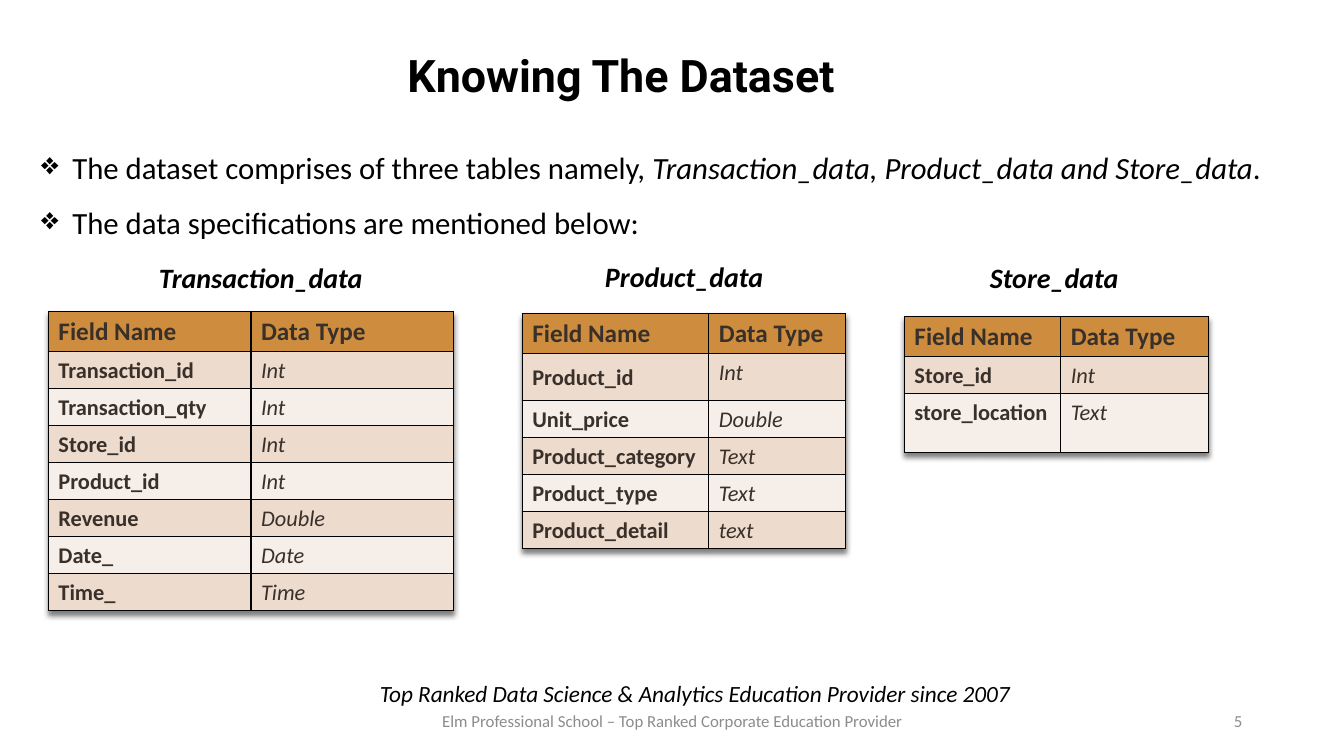
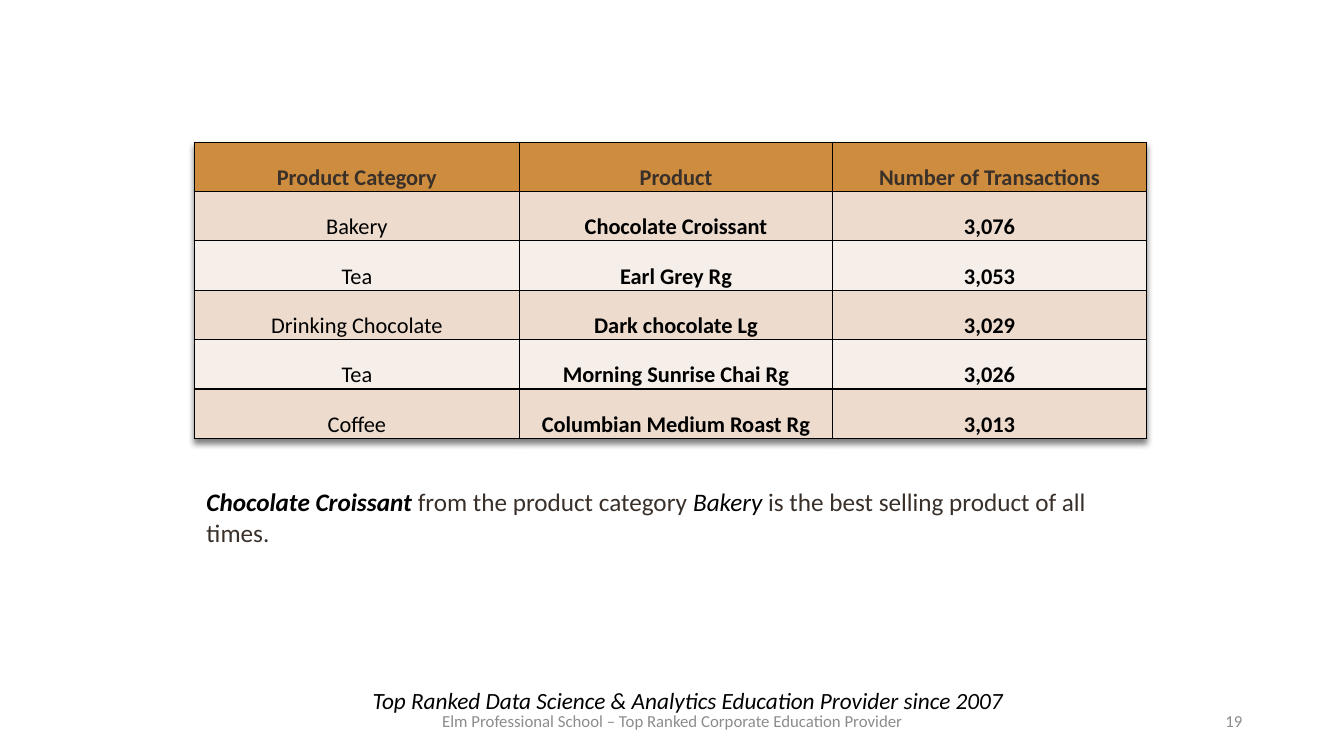
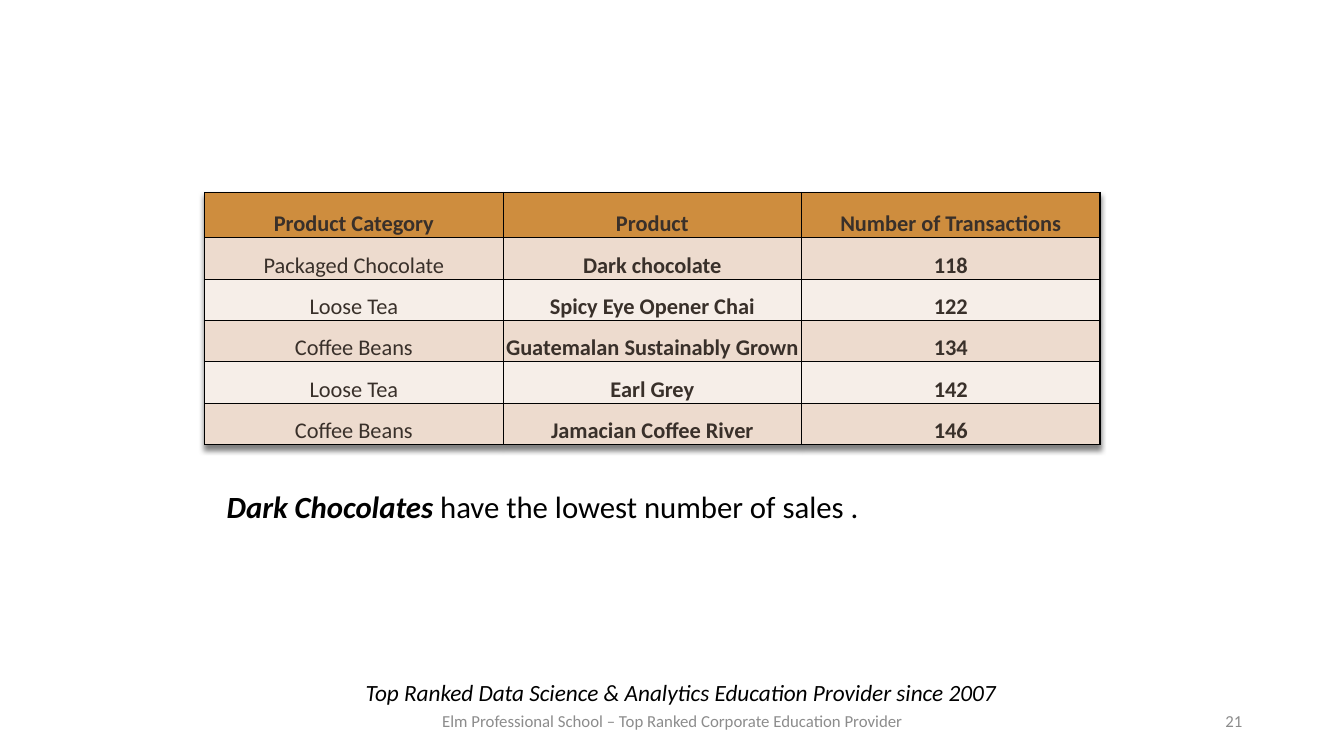
import lxml.etree
import pptx
import pptx.dml.color
import pptx.enum.text
import pptx.oxml.ns
import pptx.util

Inches = pptx.util.Inches
Align = pptx.enum.text.PP_ALIGN
Anchor = pptx.enum.text.MSO_ANCHOR

BLACK, BROWN, GREY = "000000", "39302A", "8C8C8C"
HEADER_FILL, BAND_FILLS = "CE8D3E", ("EDDBCE", "F6EEE8")
TITLE_ONLY, BLANK = 5, 6


def rgb(hex_text):
    return pptx.dml.color.RGBColor.from_string(hex_text)


def add_node(parent, tag, **attributes):
    return lxml.etree.SubElement(parent, pptx.oxml.ns.qn(tag), attributes)


class SlideBuilder:
    font = "Calibri"

    def __init__(self):
        self.deck = pptx.Presentation()
        self.deck.slide_width = Inches(13.33)
        self.deck.slide_height = Inches(7.5)
        self.slide = None

    def new_slide(self, number, tagline_left, tagline_top, layout=BLANK):
        """Start a slide with the shared tagline, footer and page number."""
        self.slide = self.deck.slides.add_slide(self.deck.slide_layouts[layout])
        self.text((tagline_left, tagline_top, 9.44, 0.4),
                  [("Top Ranked Data Science & Analytics Education Provider since 2007", "i")],
                  16.6, align=Align.CENTER, anchor=Anchor.MIDDLE)
        self.text((4.26, 6.95, 4.82, 0.4),
                  [("Elm Professional School – Top Ranked Corporate Education Provider", "")],
                  12, GREY, Align.CENTER, Anchor.MIDDLE)
        self.text((9.42, 6.95, 3, 0.4), [(number, "")], 12, GREY, Align.RIGHT, Anchor.MIDDLE)

    def add_spans(self, para, spans, size, color=BLACK, font=None):
        """Add runs from (text, style[, color]); style holds b for bold, i for italic."""
        for text, style, *own_color in spans:
            span = para.add_run()
            span.text = text
            span.font.name = font or self.font
            span.font.size = pptx.util.Pt(size)
            span.font.bold = "b" in style
            span.font.italic = "i" in style
            span.font.color.rgb = rgb(own_color[0] if own_color else color)

    def title(self, text, place):
        box = self.slide.shapes.title
        box.left, box.top, box.width, box.height = map(Inches, place)
        frame = box.text_frame
        frame.auto_size = pptx.enum.text.MSO_AUTO_SIZE.NONE
        frame.vertical_anchor = Anchor.TOP
        frame.paragraphs[0].alignment = Align.LEFT
        self.add_spans(frame.paragraphs[0], [(text, "b")], 32, font="Roboto")

    def text(self, place, spans, size, color=BLACK, align=Align.LEFT, anchor=Anchor.TOP):
        frame = self.slide.shapes.add_textbox(*map(Inches, place)).text_frame
        frame.word_wrap = True
        frame.vertical_anchor = anchor
        frame.paragraphs[0].alignment = align
        self.add_spans(frame.paragraphs[0], spans, size, color)

    def bullets(self, place, items, size):
        frame = self.slide.shapes.add_textbox(*map(Inches, place)).text_frame
        frame.word_wrap = True
        for index, spans in enumerate(items):
            para = frame.add_paragraph() if index else frame.paragraphs[0]
            para.line_spacing = 1.5
            properties = para._p.get_or_add_pPr()
            indent = Inches(0.31)
            properties.set("marL", str(indent))
            properties.set("indent", str(-indent))
            add_node(properties, "a:buChar", char="❖")
            self.add_spans(para, spans, size)

    def table(self, left, top, columns, heights, rows):
        """Build a banded table and yield each cell with its row, column and text."""
        frame = self.slide.shapes.add_table(
            len(rows), len(columns), Inches(left), Inches(top),
            Inches(sum(columns)), Inches(sum(heights)))
        table = frame.table
        for column, width in zip(table.columns, columns):
            column.width = Inches(width)
        for row, height in zip(table.rows, heights):
            row.height = Inches(height)
        self.add_shadow(table)
        for row_index, row in enumerate(rows):
            fill = BAND_FILLS[(row_index - 1) % 2] if row_index else HEADER_FILL
            for column_index, text in enumerate(row):
                cell = table.cell(row_index, column_index)
                self.add_borders(cell)
                cell.fill.solid()
                cell.fill.fore_color.rgb = rgb(fill)
                yield cell, row_index, column_index, text

    def add_shadow(self, table):
        properties = table._tbl.tblPr
        effects = add_node(properties, "a:effectLst")
        properties.insert(0, effects)
        shadow = add_node(effects, "a:outerShdw", blurRad="50800", dist="38100",
                          dir="5400000", rotWithShape="0")
        color = add_node(shadow, "a:srgbClr", val=BLACK)
        add_node(color, "a:alpha", val="50000")

    def add_borders(self, cell):
        properties = cell._tc.get_or_add_tcPr()
        for side in "LRTB":
            line = add_node(properties, "a:ln" + side, w=str(pptx.util.Pt(1)))
            add_node(add_node(line, "a:solidFill"), "a:srgbClr", val=BLACK)

    def field_table(self, left, top, columns, heights, fields, padded_row=None):
        """List field names in bold and their types in italics."""
        rows = [("Field Name", "Data Type")] + fields
        for cell, row, column, text in self.table(left, top, columns, heights, rows):
            style = "i" if row and column else "b"
            para = cell.text_frame.paragraphs[0]
            self.add_spans(para, [(text, style)], 16 if row else 18, BROWN)
            if row == padded_row and column == 0:
                cell.vertical_anchor = Anchor.MIDDLE
                cell.margin_top = cell.margin_bottom = Inches(0.1)

    def sales_table(self, left, top, columns, heights, products, body_color):
        rows = [("Product Category", "Product", "Number of Transactions")] + products
        for cell, row, column, text in self.table(left, top, columns, heights, rows):
            cell.vertical_anchor = Anchor.BOTTOM
            cell.margin_left = cell.margin_right = cell.margin_top = Inches(0.01)
            cell.margin_bottom = 0
            para = cell.text_frame.paragraphs[0]
            para.alignment = Align.CENTER
            style = "" if row and column == 0 else "b"
            self.add_spans(para, [(text, style)], 16, body_color if row else BROWN)


def add_dataset_slide(builder):
    builder.new_slide("5", 2.17, 6.68, TITLE_ONLY)
    builder.title("Knowing The Dataset", (3.94, 0.42, 4.82, 0.64))
    builder.bullets((0.31, 1.24, 12.44, 1.3), [
        [("The dataset comprises of three tables namely, ", ""),
         ("Transaction_data, Product_data and Store_data", "i"), (".", "")],
        [("The data specifications are mentioned below:", "")],
    ], 22)
    for name, left, top in (("Transaction_data", 1.34, 2.54), ("Product_data", 5.54, 2.53),
                            ("Store_data", 9.21, 2.54)):
        builder.text((left, top, 2.49, 0.44), [(name, "bi")], 20, align=Align.CENTER)
    builder.field_table(0.48, 3.09, [2.01] * 2, [0.37] + [0.34] * 7, [
        ("Transaction_id", "Int"), ("Transaction_qty", "Int"), ("Store_id", "Int"),
        ("Product_id", "Int"), ("Revenue", "Double"), ("Date_", "Date"), ("Time_", "Time")])
    builder.field_table(5.18, 3.11, [1.85, 1.36], [0.37, 0.45] + [0.34] * 4, [
        ("Product_id", "Int"), ("Unit_price", "Double"), ("Product_category", "Text"),
        ("Product_type", "Text"), ("Product_detail", "text")], padded_row=1)
    builder.field_table(8.97, 3.14, [1.55, 1.47], [0.31, 0.34, 0.58], [
        ("Store_id", "Int"), ("store_location", "Text")])


def add_best_sellers_slide(builder):
    builder.new_slide("19", 2.1, 6.75)
    builder.sales_table(1.93, 1.41, [3.22, 3.11, 3.11], [0.49] * 6, [
        ("Bakery", "Chocolate Croissant", "3,076"),
        ("Tea", "Earl Grey Rg", "3,053"),
        ("Drinking Chocolate", "Dark chocolate Lg", "3,029"),
        ("Tea", "Morning Sunrise Chai Rg", "3,026"),
        ("Coffee", "Columbian Medium Roast Rg", "3,013")], BLACK)
    builder.text((1.95, 4.78, 9.07, 0.71), [
        ("Chocolate Croissant ", "bi"), ("from the product category ", "", BROWN),
        ("Bakery ", "i"), ("is the best selling product of all times.", "", BROWN)], 18)


def add_lowest_sellers_slide(builder):
    builder.new_slide("21", 2.03, 6.67)
    builder.sales_table(2.03, 1.91, [2.96] * 3, [0.45] + [0.41] * 5, [
        ("Packaged Chocolate", "Dark chocolate", "118"),
        ("Loose Tea", "Spicy Eye Opener Chai", "122"),
        ("Coffee Beans", "Guatemalan Sustainably Grown", "134"),
        ("Loose Tea", "Earl Grey", "142"),
        ("Coffee Beans", "Jamacian Coffee River", "146")], BROWN)
    builder.text((2.15, 4.79, 9.04, 0.47), [
        ("Dark Chocolates ", "bi"), ("have the lowest number of sales .", "")], 22)


def main():
    builder = SlideBuilder()
    add_dataset_slide(builder)
    add_best_sellers_slide(builder)
    add_lowest_sellers_slide(builder)
    builder.deck.save("out.pptx")


if __name__ == "__main__":
    main()
